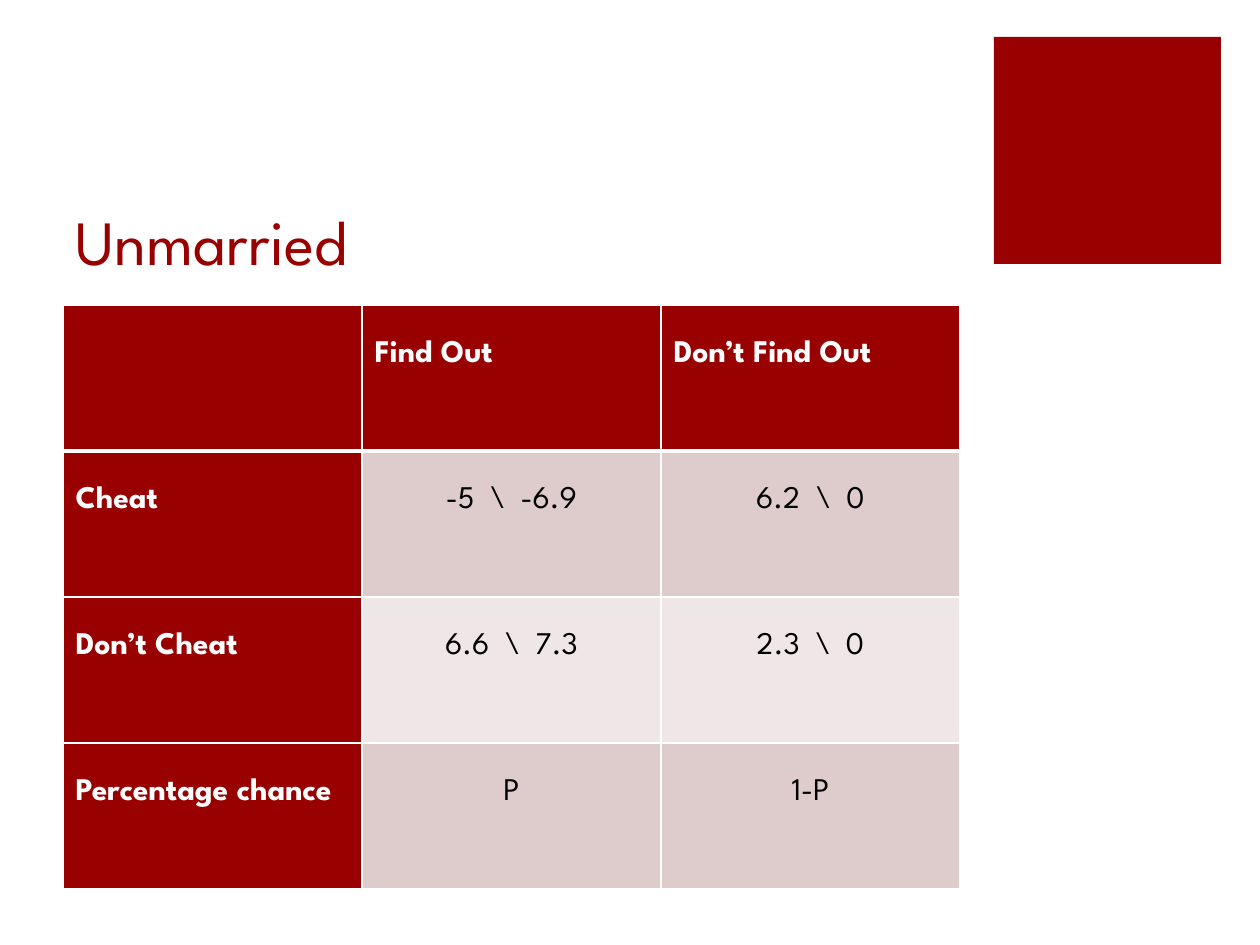
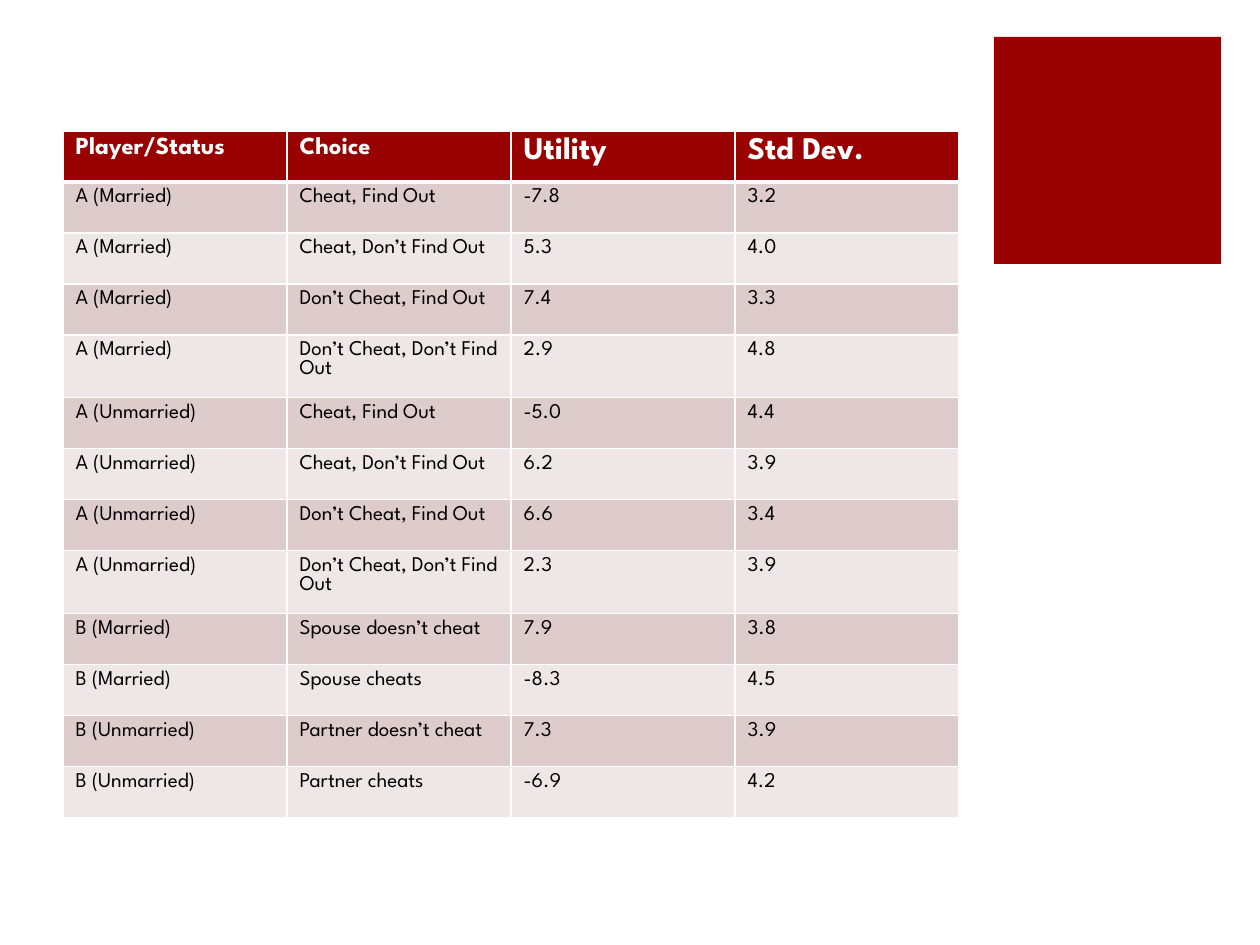
from dataclasses import dataclass

from lxml import etree
from pptx import Presentation
from pptx.dml.color import RGBColor
from pptx.enum.shapes import MSO_SHAPE
from pptx.enum.text import MSO_ANCHOR, PP_ALIGN
from pptx.oxml.ns import qn
from pptx.util import Emu, Pt

RECTANGLE = MSO_SHAPE.RECTANGLE
BOTTOM = MSO_ANCHOR.BOTTOM
LEFT, CENTER = PP_ALIGN.LEFT, PP_ALIGN.CENTER

# Shared look
EMU_PER_PIXEL = 914400 / 126
FONT = "League Spartan"
RED, WHITE, BLACK = "990000", "FFFFFF", "000000"
BANDS = ("DECCCC", "EFE7E7")
TABLE_LEFT = 63


@dataclass
class Style:
    size: int
    color: str
    bold: bool = False
    align: PP_ALIGN = LEFT


@dataclass
class Grid:
    top: int
    column_width: int
    row_height: int
    margin_top: int
    rows: list[tuple[str, ...]]
    header_sizes: tuple[int, ...]
    body: Style
    row_headings: bool = False


def px(pixels: float) -> Emu:
    return Emu(round(pixels * EMU_PER_PIXEL))


def rgb(color: str) -> RGBColor:
    return RGBColor.from_string(color)


def style_paragraph(para, style: Style) -> None:
    para.alignment = style.align
    font = para.font
    font.name, font.size, font.bold = FONT, Pt(style.size), style.bold
    font.color.rgb = rgb(style.color)


def add_page(deck):
    """Add a blank page with the red corner square."""
    page = deck.slides.add_slide(deck.slide_layouts[6])
    square = page.shapes.add_shape(RECTANGLE, px(994), px(37), px(227), px(227))
    square.shadow.inherit = False
    square.fill.solid()
    square.fill.fore_color.rgb = rgb(RED)
    square.line.fill.background()
    return page


def add_title(page, text: str) -> None:
    box = page.shapes.add_textbox(px(TABLE_LEFT), px(126), px(897), px(158))
    frame = box.text_frame
    frame.word_wrap = True
    frame.vertical_anchor = BOTTOM
    para = frame.paragraphs[0]
    para.text = text
    style_paragraph(para, Style(36, RED))


def set_borders(cell, top: int, bottom: int) -> None:
    """Draw white cell edges; top and bottom widths are in points."""
    properties = cell._tc.get_or_add_tcPr()
    for edge, width in (("lnL", 1), ("lnR", 1), ("lnT", top), ("lnB", bottom)):
        line = etree.SubElement(properties, qn(f"a:{edge}"), w=str(Pt(width)))
        fill = etree.SubElement(line, qn("a:solidFill"))
        etree.SubElement(fill, qn("a:srgbClr"), val=WHITE)


def add_grid(page, grid: Grid) -> None:
    row_count, column_count = len(grid.rows), len(grid.rows[0])
    table = page.shapes.add_table(
        row_count, column_count, px(TABLE_LEFT), px(grid.top),
        px(grid.column_width * column_count), px(grid.row_height * row_count),
    ).table
    table.first_col = grid.row_headings
    for column in table.columns:
        column.width = px(grid.column_width)
    for row in table.rows:
        row.height = px(grid.row_height)

    for r, texts in enumerate(grid.rows):
        for c, text in enumerate(texts):
            cell = table.cell(r, c)
            # The rule under the header row is thicker
            set_borders(cell, top=3 if r == 1 else 1, bottom=3 if r == 0 else 1)
            if r == 0:
                fill, style = RED, Style(grid.header_sizes[c], WHITE, True)
            elif c == 0 and grid.row_headings:
                fill, style = RED, Style(grid.body.size, WHITE, True)
            else:
                fill, style = BANDS[(r - 1) % 2], grid.body
            cell.fill.solid()
            cell.fill.fore_color.rgb = rgb(fill)
            cell.margin_top = px(grid.margin_top)
            para = cell.text_frame.paragraphs[0]
            para.text = text
            style_paragraph(para, style)


PAYOFFS = Grid(
    top=305, column_width=299, row_height=146, margin_top=35,
    rows=[
        ("", "Find Out", "Don’t Find Out"),
        ("Cheat", "-5  \\  -6.9", "6.2  \\  0"),
        ("Don’t Cheat", "6.6  \\  7.3", "2.3  \\  0"),
        ("Percentage chance", "P", "1-P"),
    ],
    header_sizes=(18, 18, 18),
    body=Style(18, BLACK, align=CENTER),
    row_headings=True,
)

UTILITIES = Grid(
    top=131, column_width=224, row_height=51, margin_top=6,
    rows=[
        ("Player/Status", "Choice", "Utility", "Std Dev."),
        ("A (Married)", "Cheat, Find Out", "-7.8", "3.2"),
        ("A (Married)", "Cheat, Don’t Find Out", "5.3", "4.0"),
        ("A (Married)", "Don’t Cheat, Find Out", "7.4", "3.3"),
        ("A (Married)", "Don’t Cheat, Don’t Find Out", "2.9", "4.8"),
        ("A (Unmarried)", "Cheat, Find Out", "-5.0", "4.4"),
        ("A (Unmarried)", "Cheat, Don’t Find Out", "6.2", "3.9"),
        ("A (Unmarried)", "Don’t Cheat, Find Out", "6.6", "3.4"),
        ("A (Unmarried)", "Don’t Cheat, Don’t Find Out", "2.3", "3.9"),
        ("B (Married)", "Spouse doesn’t cheat", "7.9", "3.8"),
        ("B (Married)", "Spouse cheats", "-8.3", "4.5"),
        ("B (Unmarried)", "Partner doesn’t cheat", "7.3", "3.9"),
        ("B (Unmarried)", "Partner cheats", "-6.9", "4.2"),
    ],
    header_sizes=(14, 14, 18, 18),
    body=Style(12, BLACK),
)

deck = Presentation()
deck.slide_width, deck.slide_height = px(1260), px(945)

# Payoffs when unmarried
page = add_page(deck)
add_title(page, "Unmarried")
add_grid(page, PAYOFFS)

# Utility of each choice
page = add_page(deck)
add_grid(page, UTILITIES)

deck.save("out.pptx")
